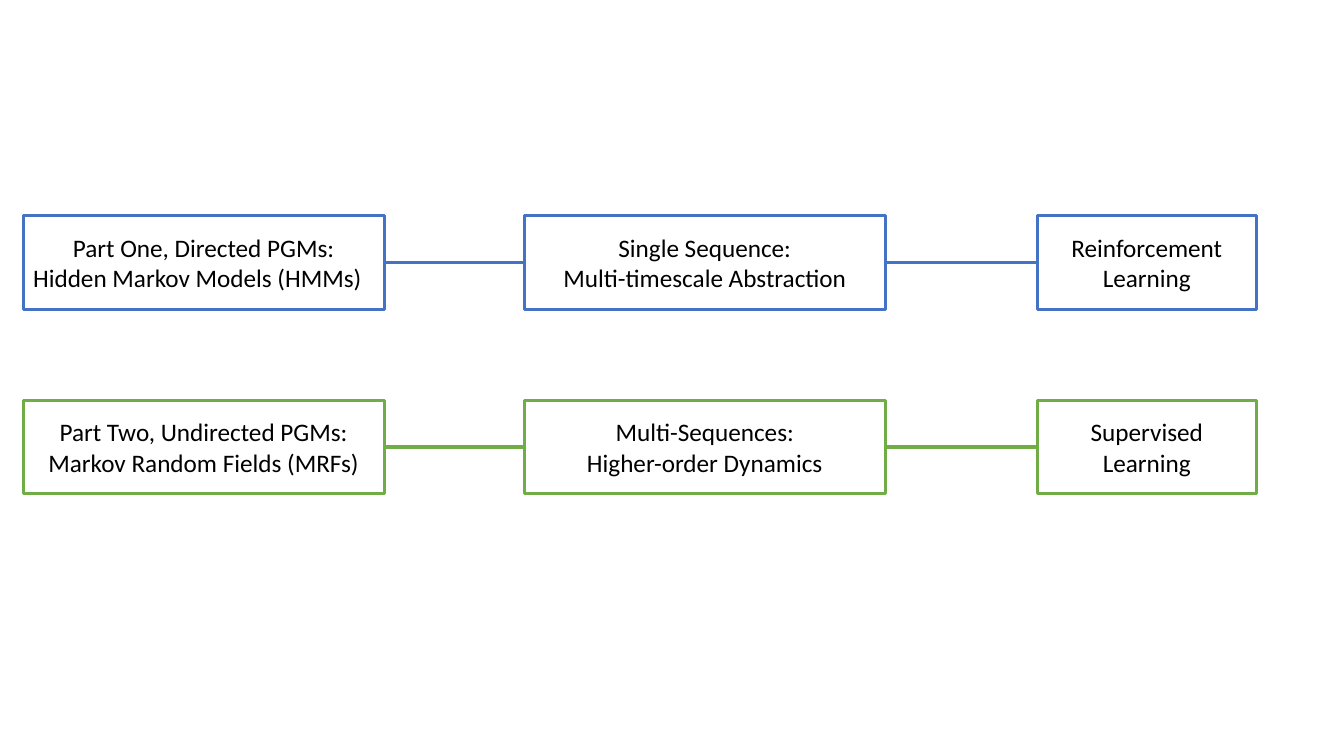
"""Builds a slide with two chains of boxes, one for each part of the work."""
from dataclasses import dataclass

from lxml.etree import SubElement
from pptx import Presentation
from pptx.dml.color import RGBColor
from pptx.enum.shapes import MSO_CONNECTOR, MSO_SHAPE
from pptx.enum.text import MSO_ANCHOR, PP_ALIGN
from pptx.oxml.ns import qn
from pptx.util import Inches, Pt


@dataclass(frozen=True)
class Theme:
    directed: RGBColor = RGBColor(0x44, 0x72, 0xC4)
    undirected: RGBColor = RGBColor(0x70, 0xAD, 0x47)
    text: RGBColor = RGBColor(0, 0, 0)
    font: str = "Calibri"
    text_size: Pt = Pt(18)
    line_width: Pt = Pt(2.25)


COLUMNS = [(0.23, 3.58), (5.2, 3.58), (10.29, 2.17)]
FIRST_ROW, ROW_STEP, BOX_HEIGHT = 2.14, 1.83, 0.93
LEFT_SITE, RIGHT_SITE = 1, 3


class Canvas:
    def __init__(self, page, theme):
        self.page = page
        self.theme = theme

    def box(self, column, row, lines, color):
        left, width = COLUMNS[column]
        top = FIRST_ROW + row * ROW_STEP
        box = self.page.shapes.add_shape(
            MSO_SHAPE.RECTANGLE, Inches(left), Inches(top), Inches(width), Inches(BOX_HEIGHT))
        box.shadow.inherit = False
        box.fill.background()
        box.line.color.rgb = color
        box.line.width = self.theme.line_width
        frame = box.text_frame
        frame.word_wrap = True
        frame.vertical_anchor = MSO_ANCHOR.MIDDLE
        frame.text = "\n".join(text for text, _ in lines)
        for para, (_, alignment) in zip(frame.paragraphs, lines):
            para.alignment = alignment
            para.font.name = self.theme.font
            para.font.size = self.theme.text_size
            para.font.color.rgb = self.theme.text
        return box

    def link(self, start, end, color):
        link = self.page.shapes.add_connector(MSO_CONNECTOR.STRAIGHT, 0, 0, 0, 0)
        link.begin_connect(start, RIGHT_SITE)
        link.end_connect(end, LEFT_SITE)
        link.line.color.rgb = color
        link.line.width = self.theme.line_width
        SubElement(link.element.spPr, qn("a:effectLst"))

    def chain(self, row, cells, color):
        boxes = [self.box(column, row, lines, color) for column, lines in enumerate(cells)]
        for start, end in zip(boxes, boxes[1:]):
            self.link(start, end, color)


def centered(*texts):
    return [(text, PP_ALIGN.CENTER) for text in texts]


theme = Theme()
chains = [
    (theme.directed, [
        centered("Part One, Directed PGMs:") + [("Hidden Markov Models (HMMs)", PP_ALIGN.LEFT)],
        centered("Single Sequence:", "Multi-timescale Abstraction"),
        centered("Reinforcement Learning"),
    ]),
    (theme.undirected, [
        centered("Part Two, Undirected PGMs:", "Markov Random Fields (MRFs)"),
        centered("Multi-Sequences:", "Higher-order Dynamics"),
        centered("Supervised Learning"),
    ]),
]

deck = Presentation()
deck.slide_width, deck.slide_height = Inches(13.33), Inches(7.5)
blank_layout = deck.slide_layouts.get_by_name("Blank")
canvas = Canvas(deck.slides.add_slide(blank_layout), theme)
for row, (color, cells) in enumerate(chains):
    canvas.chain(row, cells, color)
deck.save("out.pptx")
